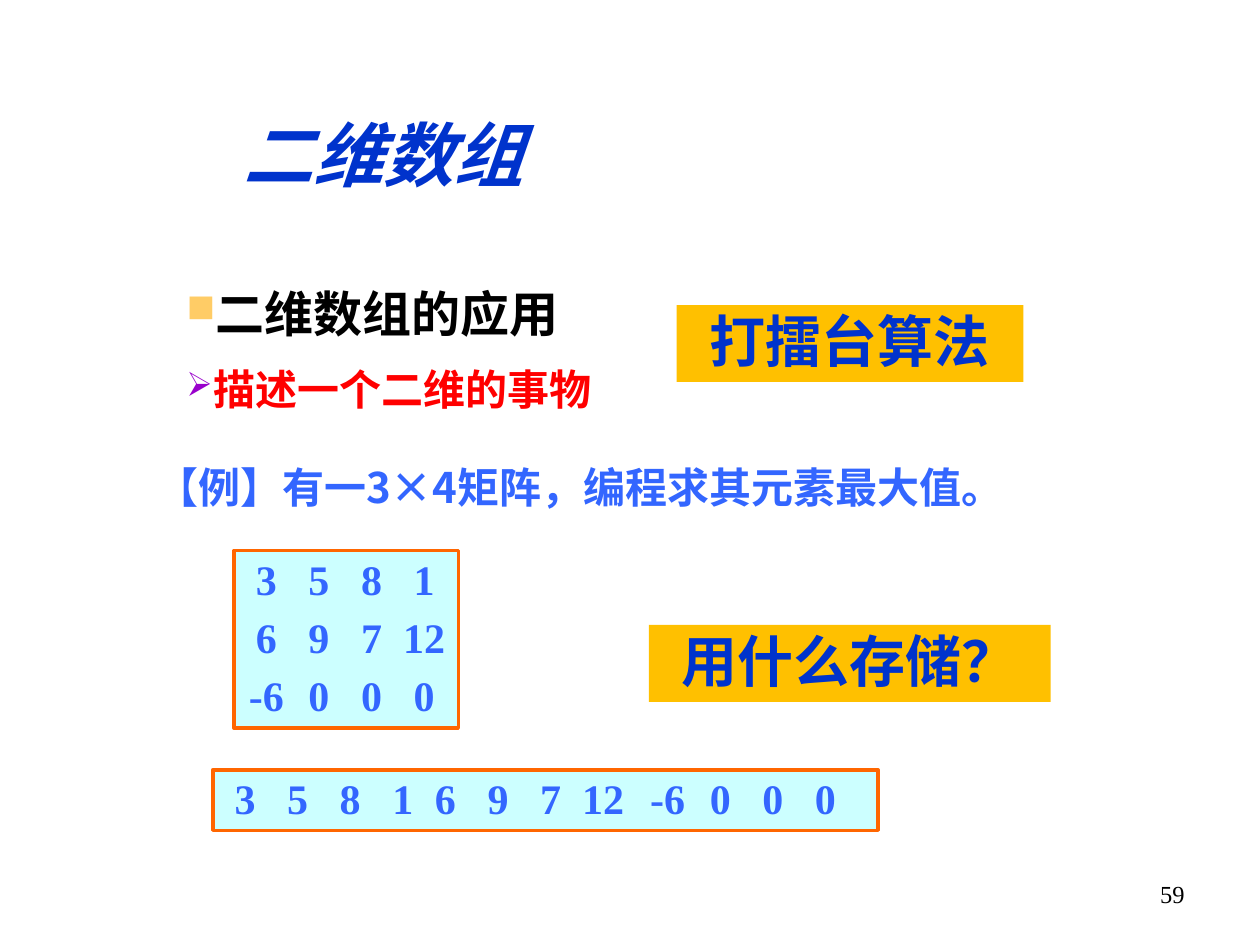
from lxml.etree import SubElement
from pptx import Presentation
from pptx.dml.color import RGBColor
from pptx.enum.shapes import MSO_SHAPE as Shape
from pptx.enum.text import MSO_ANCHOR as Anchor, PP_ALIGN as Align
from pptx.oxml.ns import qn
from pptx.util import Cm, Pt

THEME = {
    "blue": "0033CC", "light_blue": "3366FF", "red": "FF0000", "black": "000000",
    "gold": "FFC000", "cyan": "CCFFFF", "orange": "FF6600",
    "bullet_gold": "FFCC66", "bullet_purple": "9900CC",
    "title": 40, "callout": 32, "heading": 28, "text": 24, "number": 14,
    "serif": "Times New Roman", "chinese": "Noto Sans CJK SC",
}


def write(paragraph, text, size, color, font="serif", **formats):
    """Add one run; the remaining formats are paragraph attributes."""
    for name, value in formats.items():
        setattr(paragraph, name, value)
    run = paragraph.add_run()
    run.text = text
    values = {"size": Pt(THEME[size]), "name": THEME[font], "bold": size != "number"}
    for name, value in values.items():
        setattr(run.font, name, value)
    run.font.color.rgb = RGBColor.from_string(THEME[color])
    properties = run.font._element
    SubElement(properties, qn("a:ea"), typeface=THEME["chinese"])
    return run


def add_box(box, fill=None, line=None):
    """Add a plain text box, or a rectangle when a fill is given."""
    place = [Cm(value) for value in box]
    if fill:
        shape = slide.shapes.add_shape(Shape.RECTANGLE, *place)
        shape.shadow.inherit = False
        shape.fill.solid()
        shape.fill.fore_color.rgb = RGBColor.from_string(THEME[fill])
        if line:
            shape.line.color.rgb = RGBColor.from_string(THEME[line])
            shape.line.width = Pt(2)
        else:
            shape.line.fill.background()
    else:
        shape = slide.shapes.add_textbox(*place)
    shape.text_frame.word_wrap = True
    shape.text_frame.vertical_anchor = Anchor.TOP
    return shape.text_frame


presentation = Presentation()
presentation.slide_width, presentation.slide_height = Cm(25.4), Cm(19.05)
slide = presentation.slides.add_slide(presentation.slide_layouts[5])

# Title with a text shadow
title = slide.shapes.title
for name, value in {"left": 3.76, "top": 2.21, "width": 7.95, "height": 1.75}.items():
    setattr(title, name, Cm(value))
frame = title.text_frame
for name in ("margin_left", "margin_right", "margin_top", "margin_bottom"):
    setattr(frame, name, 0)
frame.vertical_anchor = Anchor.MIDDLE
run = write(frame.paragraphs[0], "二维数组", "title", "blue", alignment=Align.CENTER)
run.font.italic = True
effects = SubElement(run.font._element, qn("a:effectLst"))
shadow = SubElement(effects, qn("a:outerShdw"), dist="38100", dir="2700000")
SubElement(shadow, qn("a:srgbClr"), val=THEME["black"])
run.font._element.find(qn("a:solidFill")).addnext(effects)

# Slide number
write(add_box((18.21, 17.6, 5.92, 1.32)).paragraphs[0], "59", "number", "black",
      alignment=Align.RIGHT)

# Bulleted points
frame = add_box((1.5, 5.36, 22.43, 3.4))
points = [
    ("二维数组的应用", "heading", "black", "■", "bullet_gold", 0),
    ("描述一个二维的事物", "text", "red", "➢", "bullet_purple", 6),
]
for index, (text, size, color, mark, mark_color, space) in enumerate(points):
    paragraph = frame.add_paragraph() if index else frame.paragraphs[0]
    properties = paragraph._p.get_or_add_pPr()
    properties.set("marL", str(Cm(0.23)))
    properties.set("indent", str(Cm(1.78)))
    bullet_color = SubElement(properties, qn("a:buClr"))
    SubElement(bullet_color, qn("a:srgbClr"), val=THEME[mark_color])
    SubElement(properties, qn("a:buSzPct"), val="80000")
    SubElement(properties, qn("a:buChar"), char=mark)
    write(paragraph, text, size, color, alignment=Align.JUSTIFY,
          line_spacing=1.2, space_before=Pt(space))

# Example
write(add_box((2.9, 9.3, 17.8, 1.25)).paragraphs[0],
      "【例】有一3×4矩阵，编程求其元素最大值。", "text", "light_blue", "chinese",
      line_spacing=0.9)

# Matrix, and the same values in one row, on centred tab stops
matrix = [["3", "5", "8", "1"], ["6", "9", "7", "12"], ["-6", "0", "0", "0"]]
column_gap = 1.06
grids = [
    ((4.72, 11.1, 4.52, 3.58), matrix, [0.4]),
    ((4.29, 15.52, 13.41, 1.22), [sum(matrix, [])], [0.4, 4.44, 8.92]),
]
for box, rows, group_starts in grids:
    frame = add_box(box, "cyan", "orange")
    frame.margin_right = 0
    for index, row in enumerate(rows):
        paragraph = frame.add_paragraph() if index else frame.paragraphs[0]
        tabs = SubElement(paragraph._p.get_or_add_pPr(), qn("a:tabLst"))
        for start in group_starts:
            for column in range(4):
                position = Cm(start + column * column_gap)
                SubElement(tabs, qn("a:tab"), pos=str(position), algn="ctr")
        write(paragraph, "".join("\t" + value for value in row), "text", "light_blue",
              alignment=Align.LEFT, line_spacing=0.95,
              space_before=Pt(6 if index else 0))

# Callouts
callouts = [
    ((13.64, 6.15, 6.99, 1.55), "打擂台算法"),
    ((13.08, 12.6, 8.1, 1.55), "用什么存储？"),
]
for box, text in callouts:
    write(add_box(box, "gold").paragraphs[0], text, "callout", "blue", "chinese",
          alignment=Align.CENTER, line_spacing=0.95)

presentation.save("out.pptx")
